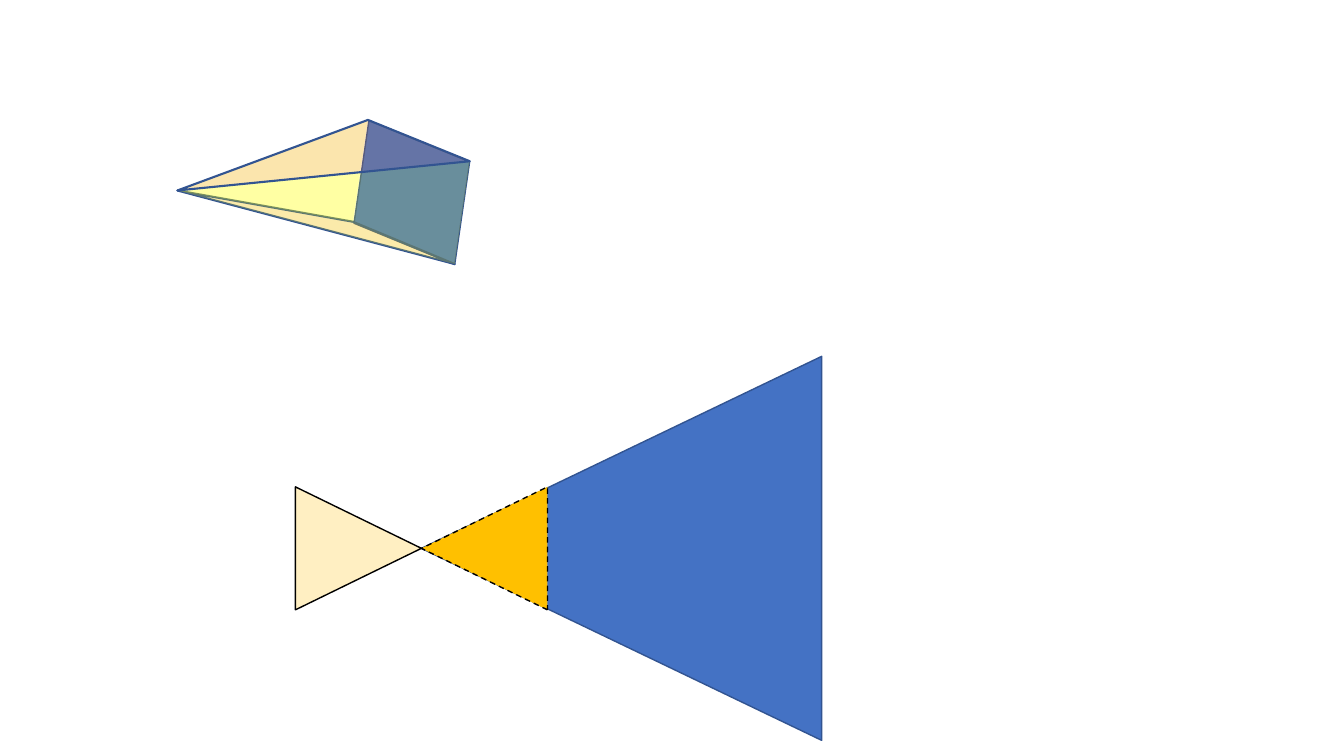
"""Build a slide with a see-through pyramid and a cone of view with its mirrored tip."""
from lxml.etree import SubElement
from pptx import Presentation
from pptx.dml.color import RGBColor
from pptx.enum.dml import MSO_LINE_DASH_STYLE as DASH
from pptx.enum.shapes import MSO_SHAPE as SHAPE
from pptx.oxml.ns import qn
from pptx.util import Inches, Pt

COLORS = {"blue": "4472C4", "navy": "325491", "gold": "FFC000",
          "orange": "ED7D31", "yellow": "FFFF00", "black": "000000"}

CONE_TIP = (4.18, 5.44)
LEFT, RIGHT = -1, 1
CONES = [
    {"side": RIGHT, "base": 3.81, "length": 3.97, "fill": "blue", "line": "navy"},
    {"side": LEFT, "base": 1.22, "length": 1.25, "fill": "gold", "line": "black", "opacity": 24},
    {"side": RIGHT, "base": 1.22, "length": 1.25, "fill": "gold", "line": "black", "dash": DASH.DASH},
]

CORNERS = {"apex": (1.76, 1.89), "top": (3.65, 1.19), "right": (4.66, 1.6),
           "bottom": (4.51, 2.62), "inner": (3.5, 2.2)}
BASE = {"box": (3.42, 1.41, 1.33, 1), "rotation": 22.3}
FACES = [
    (("bottom", "apex", "inner"), "orange", "navy"),
    (("bottom", "apex", "right"), "yellow", None),
    (("inner", "apex", "top"), "yellow", None),
    (("right", "apex", "top"), "orange", "navy"),
]


def paint(shape, fill, line, width=1, opacity=100, dash=None):
    shape.shadow.inherit = False
    shape.fill.solid()
    shape.fill.fore_color.rgb = RGBColor.from_string(COLORS[fill])
    if opacity < 100:
        color = shape._element.spPr.find(qn("a:solidFill"))[0]
        SubElement(color, qn("a:alpha")).set("val", str(opacity * 1000))
    if line is None:
        shape.line.fill.background()
        return
    shape.line.color.rgb = RGBColor.from_string(COLORS[line])
    shape.line.width = Pt(width)
    if dash:
        shape.line.dash_style = dash


def add_cone(slide, side, base, length, **style):
    tip_x, tip_y = CONE_TIP
    left = tip_x + side * length / 2 - base / 2
    box = (left, tip_y - length / 2, base, length)
    cone = slide.shapes.add_shape(SHAPE.ISOSCELES_TRIANGLE, *map(Inches, box))
    cone.rotation = 270 if side == RIGHT else 90
    paint(cone, **style)


def add_pyramid(slide):
    pyramid = slide.shapes.add_group_shape()
    base = pyramid.shapes.add_shape(SHAPE.PARALLELOGRAM, *map(Inches, BASE["box"]))
    base.rotation = BASE["rotation"]
    base._element.spPr.xfrm.set("flipH", "1")
    paint(base, "blue", "navy")
    for names, fill, line in FACES:
        start, *others = [tuple(map(Inches, CORNERS[name])) for name in names]
        builder = pyramid.shapes.build_freeform(*start)
        builder.add_line_segments(others, close=True)
        paint(builder.convert_to_shape(), fill, line, width=1.5, opacity=20)


presentation = Presentation()
presentation.slide_width, presentation.slide_height = Inches(13.33), Inches(7.5)
slide = presentation.slides.add_slide(presentation.slide_layouts[6])
for cone in CONES:
    add_cone(slide, **cone)
add_pyramid(slide)
presentation.save("out.pptx")
